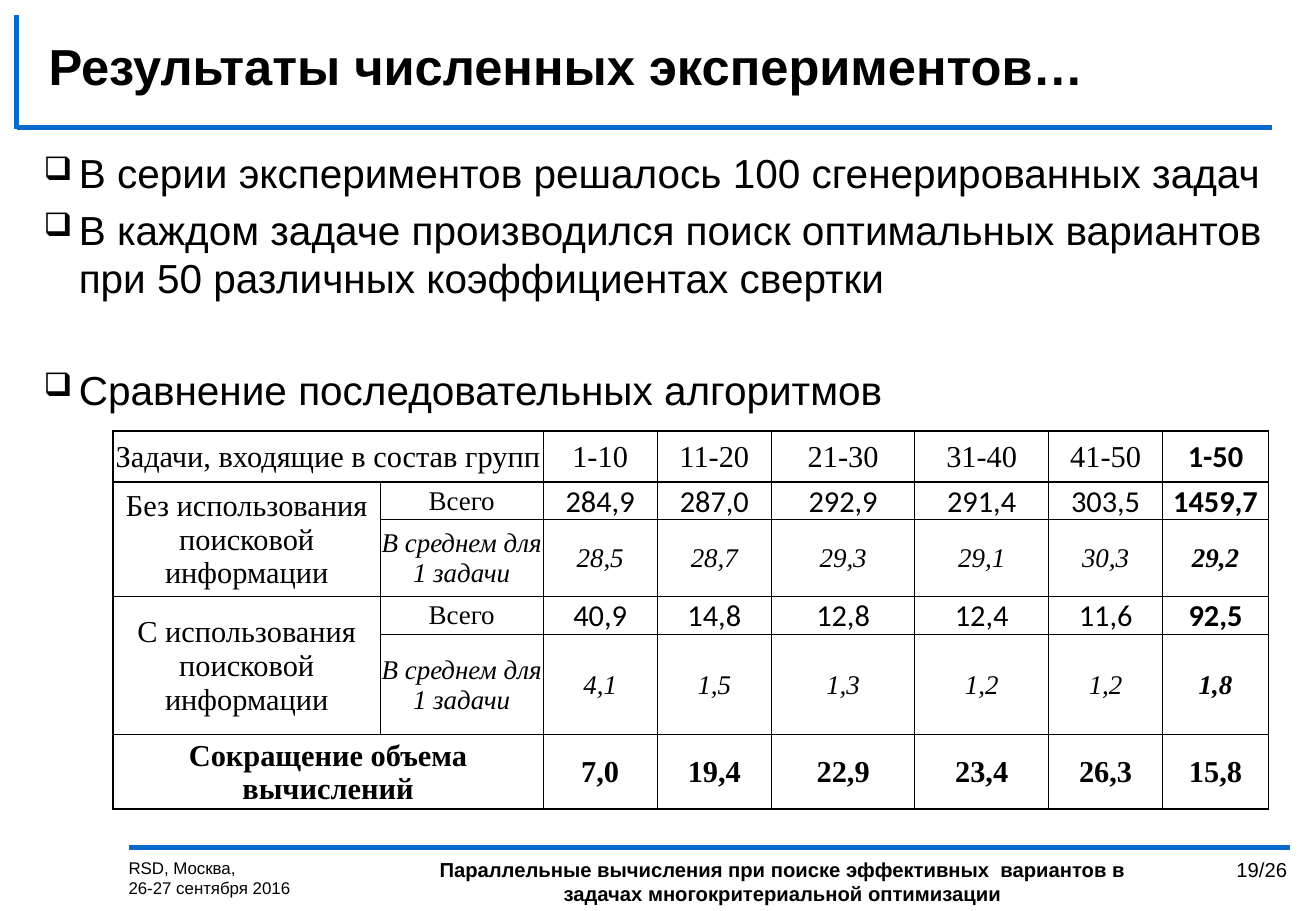
"""Builds the slide with the results of the numerical experiments."""
from lxml.etree import SubElement
from pptx import Presentation
from pptx.dml.color import RGBColor
from pptx.enum.shapes import MSO_CONNECTOR
from pptx.enum.text import MSO_ANCHOR, PP_ALIGN
from pptx.oxml.ns import qn
from pptx.util import Inches, Pt

BLUE, BLACK = "0969CD", "000000"
SANS, SERIF, NUMERIC = "Arial", "Times New Roman", "Calibri"

TITLE = "Результаты численных экспериментов…"
BULLETS = [
    ("В серии экспериментов решалось 100 сгенерированных задач", 4.8),
    ("В каждом задаче производился поиск оптимальных вариантов при 50 различных коэффициентах свертки", 4.8),
    ("Сравнение последовательных алгоритмов", 37.2),
]
MEAN = "В среднем для 1 задачи"
ROWS = [
    ("header", "Задачи, входящие в состав групп", "", "1-10 11-20 21-30 31-40 41-50 1-50"),
    ("total", "Без использования поисковой информации", "Всего", "284,9 287,0 292,9 291,4 303,5 1459,7"),
    ("mean", "", MEAN, "28,5 28,7 29,3 29,1 30,3 29,2"),
    ("total", "С использования поисковой информации", "Всего", "40,9 14,8 12,8 12,4 11,6 92,5"),
    ("mean", "", MEAN, "4,1 1,5 1,3 1,2 1,2 1,8"),
    ("gain", "Сокращение объема вычислений", "", "7,0 19,4 22,9 23,4 26,3 15,8"),
]
MERGES = [((0, 0), (0, 1)), ((1, 0), (2, 0)), ((3, 0), (4, 0)), ((5, 0), (5, 1))]
FOOTERS = [
    (8.86, 20.68, ["RSD, Москва,", "26-27 сентября 2016"], 10, False, PP_ALIGN.LEFT),
    (30.38, 58.17, ["Параллельные вычисления при поиске эффективных  вариантов в задачах многокритериальной оптимизации"],
     12, True, PP_ALIGN.CENTER),
    (89.29, 9.42, ["19/26"], 12, False, PP_ALIGN.RIGHT),
]

# Shares are percent of the slide's width and height.
RULES = [(9.79, 93.07, 98.06, 93.07), (1.29, 14, 96.68, 14), (1.29, 1.6, 1.29, 14.13)]
TITLE_AREA = (2.77, 3.07, 95.57, 8.13)
BODY_AREA = (2.4, 15.6, 95.94, 76)
TABLE_CORNER = (8.59, 47.33)
COLUMN_SHARES = [20.31, 12.37, 8.68, 8.68, 10.9, 10.16, 8.68, 8.03]
ROW_SHARES = [5.6, 4.13, 8.4, 4.13, 11.07, 7.87]
FOOTER_TOP, FOOTER_HEIGHT = 93.47, 6.53
THICK_VERTICALS, THICK_HORIZONTALS = {0, 7, 8}, {0, 1, 3, 6}

deck = Presentation()
deck.slide_width, deck.slide_height = Inches(10.83), Inches(7.5)
page = deck.slides.add_slide(deck.slide_layouts[5])


def across(share):
    return round(deck.slide_width * share / 100)


def down(share):
    return round(deck.slide_height * share / 100)


def area(left, top, width, height):
    return across(left), down(top), across(width), down(height)


def color(value):
    return RGBColor.from_string(value)


def write(para, text, size, font=SANS, bold=False, italic=False, align=PP_ALIGN.LEFT):
    para.alignment = align
    span = para.add_run()
    span.text = text
    span.font.size, span.font.name = Pt(size), font
    span.font.bold, span.font.italic = bold, italic
    span.font.color.rgb = color(BLACK)


def add_rule(x1, y1, x2, y2):
    rule = page.shapes.add_connector(MSO_CONNECTOR.STRAIGHT, across(x1), down(y1), across(x2), down(y2))
    rule.line.color.rgb, rule.line.width = color(BLUE), Pt(3)
    SubElement(rule._element.spPr, qn("a:effectLst"))


def add_text_frame(place):
    frame = page.shapes.add_textbox(*area(*place)).text_frame
    frame.word_wrap = True
    return frame


def add_bullet(para):
    settings = para._p.get_or_add_pPr()
    settings.set("marL", str(Inches(0.29)))
    settings.set("indent", str(-Inches(0.29)))
    SubElement(settings, qn("a:buSzPct"), val="80000")
    SubElement(settings, qn("a:buChar"), char="❑")


def add_borders(cell, row, column):
    settings = cell._tc.get_or_add_tcPr()
    bottom = row + (cell.span_height if cell.is_merge_origin else 1)
    right = column + (cell.span_width if cell.is_merge_origin else 1)
    edges = [("a:lnL", column in THICK_VERTICALS), ("a:lnR", right in THICK_VERTICALS),
             ("a:lnT", row in THICK_HORIZONTALS), ("a:lnB", bottom in THICK_HORIZONTALS)]
    for tag, thick in edges:
        edge = SubElement(settings, qn(tag), w=str(Pt(1 if thick else 0.5)))
        SubElement(SubElement(edge, qn("a:solidFill")), qn("a:srgbClr"), val=BLACK)


def fill_cell(cell, kind, row, column, text):
    is_value, is_last = column > 1, column == len(COLUMN_SHARES) - 1
    numeric = (kind == "total" and is_value) or (kind == "header" and is_last)
    small = (kind == "mean" and column > 0) or (kind == "total" and column == 1)
    cell.margin_left = cell.margin_right = cell.margin_top = Inches(0.01)
    cell.margin_bottom = 0
    cell.vertical_anchor = MSO_ANCHOR.MIDDLE
    write(cell.text_frame.paragraphs[0], text, 16 if small else 18, NUMERIC if numeric else SERIF,
          kind == "gain" or is_last, kind == "mean", PP_ALIGN.CENTER)
    add_borders(cell, row, column)
    cell.fill.background()


def add_results():
    size = sum(COLUMN_SHARES), sum(ROW_SHARES)
    table = page.shapes.add_table(len(ROWS), len(COLUMN_SHARES), *area(*TABLE_CORNER, *size)).table
    table.first_row = table.horz_banding = False
    for column, share in zip(table.columns, COLUMN_SHARES):
        column.width = across(share)
    for line, share in zip(table.rows, ROW_SHARES):
        line.height = down(share)
    for first, last in MERGES:
        table.cell(*first).merge(table.cell(*last))
    for row, (kind, group, measure, values) in enumerate(ROWS):
        for column, text in enumerate([group, measure, *values.split()]):
            cell = table.cell(row, column)
            if not cell.is_spanned:
                fill_cell(cell, kind, row, column, text)


def main():
    for rule in RULES:
        add_rule(*rule)
    title = page.shapes.title
    title.left, title.top, title.width, title.height = area(*TITLE_AREA)
    title.text_frame.vertical_anchor = MSO_ANCHOR.MIDDLE
    write(title.text_frame.paragraphs[0], TITLE, 30, bold=True)
    body = add_text_frame(BODY_AREA)
    for index, (text, gap) in enumerate(BULLETS):
        para = body.add_paragraph() if index else body.paragraphs[0]
        para.space_before = Pt(gap)
        add_bullet(para)
        write(para, text, 24)
    add_results()
    for left, width, lines, size, bold, align in FOOTERS:
        frame = add_text_frame((left, FOOTER_TOP, width, FOOTER_HEIGHT))
        for index, text in enumerate(lines):
            para = frame.add_paragraph() if index else frame.paragraphs[0]
            write(para, text, size, bold=bold, align=align)
    deck.save("out.pptx")


if __name__ == "__main__":
    main()
